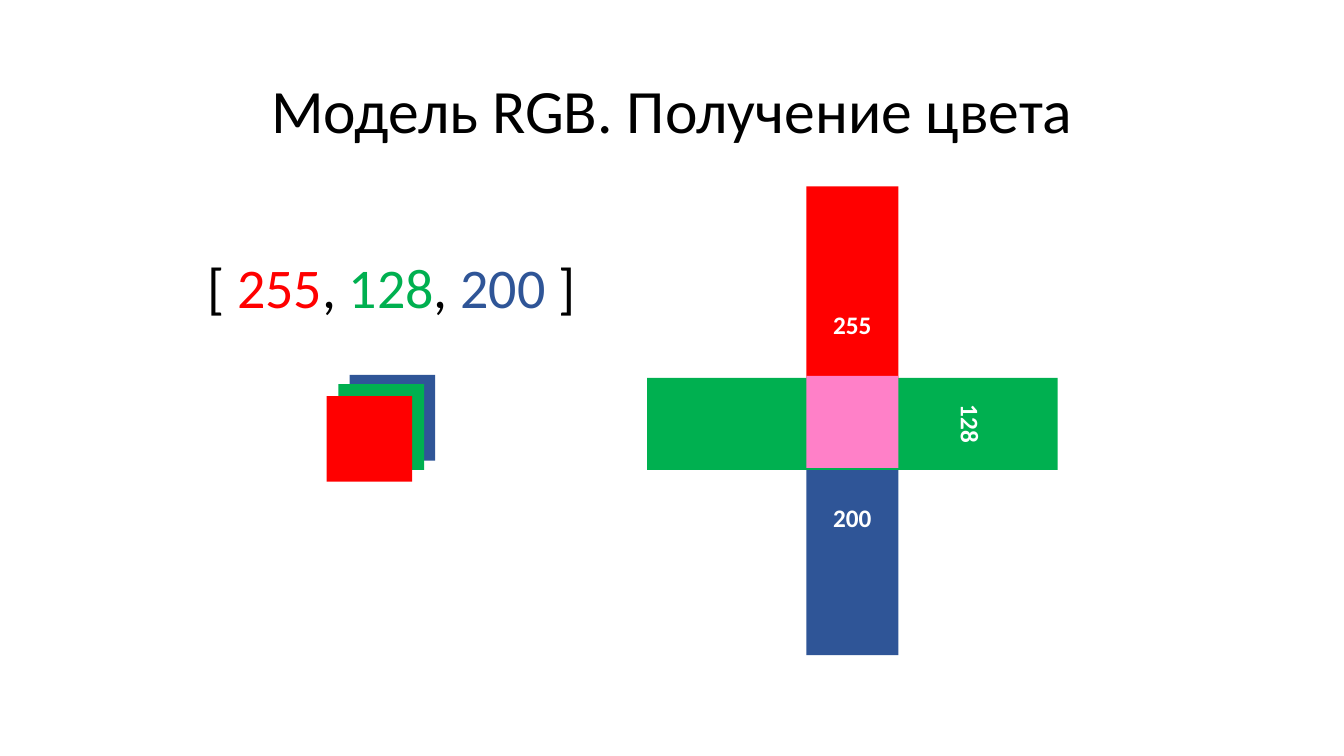
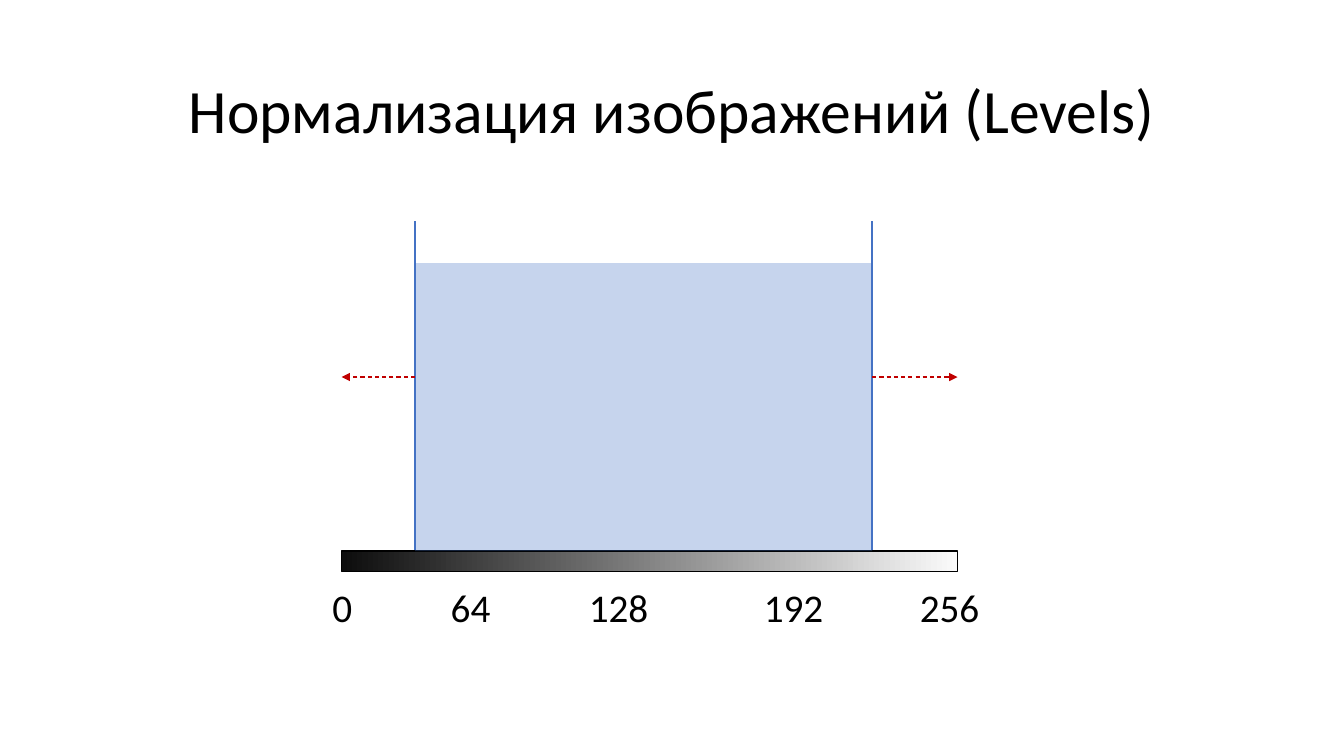
from lxml import etree
from pptx import Presentation
from pptx.dml.color import RGBColor
from pptx.enum.dml import MSO_LINE
from pptx.enum.shapes import MSO_CONNECTOR, MSO_SHAPE
from pptx.enum.text import MSO_ANCHOR as Anchor, PP_ALIGN as Align
from pptx.oxml.ns import qn
from pptx.util import Cm, Pt

BLACK = RGBColor(0x00, 0x00, 0x00)
WHITE = RGBColor(0xFF, 0xFF, 0xFF)
RED = RGBColor(0xFF, 0x00, 0x00)
GREEN = RGBColor(0x00, 0xB0, 0x50)
BLUE = RGBColor(0x2F, 0x55, 0x97)
PINK = RGBColor(0xFF, 0x80, 0xC8)
RANGE_BLUE = RGBColor(0x44, 0x72, 0xC4)
ARROW_RED = RGBColor(0xC0, 0x00, 0x00)
DARKEST = RGBColor(0x0D, 0x0D, 0x0D)
LIGHTEST = RGBColor(0xFA, 0xFA, 0xFA)
FONT = "Calibri"


def write(frame, text, size=18, color=BLACK, bold=False, align=Align.LEFT,
          anchor=Anchor.TOP, spacing=1.0, wrap=True, tabs=()):
    """Fill a frame with a string, or with a list of (string, colour) runs."""
    frame.word_wrap = wrap
    frame.vertical_anchor = anchor
    paragraph = frame.paragraphs[0]
    paragraph.alignment = align
    paragraph.line_spacing = spacing
    if tabs:
        stops = etree.SubElement(paragraph._p.get_or_add_pPr(), qn("a:tabLst"))
        for stop in tabs:
            etree.SubElement(stops, qn("a:tab"), pos=str(Cm(stop)), algn="l")
    for part, tint in [(text, color)] if isinstance(text, str) else text:
        run = paragraph.add_run()
        run.text = part
        run.font.name = FONT
        run.font.size = Pt(size)
        run.font.bold = bold
        run.font.color.rgb = tint


class Deck:
    """Shared style and the slide being built; lengths are centimetres."""

    def __init__(self):
        self.prs = Presentation()
        self.prs.slide_width, self.prs.slide_height = Cm(33.87), Cm(19.05)
        self.shapes = None

    def start(self, title):
        slide = self.prs.slides.add_slide(self.prs.slide_layouts[6])
        self.shapes = slide.shapes
        self.text(title, 2.34, 1.02, 29.21, 3.68, size=44, spacing=0.9,
                  align=Align.CENTER, anchor=Anchor.MIDDLE)

    def text(self, text, x, y, w, h, **style):
        box = self.shapes.add_textbox(Cm(x), Cm(y), Cm(w), Cm(h))
        write(box.text_frame, text, **style)

    def rect(self, x, y, w, h, color, alpha=None, rotation=0):
        shape = self.shapes.add_shape(MSO_SHAPE.RECTANGLE, Cm(x), Cm(y), Cm(w), Cm(h))
        shape.shadow.inherit = False
        shape.rotation = rotation
        shape.fill.solid()
        shape.fill.fore_color.rgb = color
        shape.line.fill.background()
        if alpha is not None:
            tint = shape._element.spPr.find(".//" + qn("a:srgbClr"))
            etree.SubElement(tint, qn("a:alpha"), val=str(alpha * 1000))
        return shape

    def scale(self, x, y, w, h, start, end):
        bar = self.rect(x, y, w, h, start)
        bar.fill.gradient()
        bar.fill.gradient_angle = 0
        for stop, color in zip(bar.fill.gradient_stops, (start, end)):
            stop.color.rgb = color
        bar.line.color.rgb = BLACK
        bar.line.width = Pt(1)

    def line(self, x1, y1, x2, y2, color, width, arrow=False):
        line = self.shapes.add_connector(MSO_CONNECTOR.STRAIGHT,
                                         Cm(x1), Cm(y1), Cm(x2), Cm(y2))
        line.line.color.rgb = color
        line.line.width = Pt(width)
        if arrow:
            line.line.dash_style = MSO_LINE.DASH
            etree.SubElement(line.line._get_or_add_ln(), qn("a:tailEnd"), type="triangle")
        etree.SubElement(line._element.spPr, qn("a:effectLst"))


def rgb_slide(deck):
    deck.start("Модель RGB. Получение цвета")

    # Colour triple and its stacked channels
    deck.text([("[ ", BLACK), ("255", RED), (", ", BLACK), ("128", GREEN),
               (", ", BLACK), ("200", BLUE), (" ]", BLACK)],
              4.98, 6.25, 9.88, 1.96, size=40, wrap=False)
    for x, y, color in [(8.81, 9.45, BLUE), (8.53, 9.68, GREEN), (8.23, 9.98, RED)]:
        deck.rect(x, y, 2.16, 2.16, color)

    # Crossing bars, with the mixed colour where they meet
    left, breadth = 20.32, 2.32
    label = dict(color=WHITE, bold=True, align=Align.CENTER)
    for value, y, color in [("255", 4.7, RED), ("200", 9.58, BLUE)]:
        bar = deck.rect(left, y, breadth, 6.93, color)
        write(bar.text_frame, value, anchor=Anchor.MIDDLE, **label)
    green_bar = deck.rect(left, 5.51, breadth, 10.34, GREEN, rotation=90)
    green_bar.text_frame.margin_top = Cm(1.8)
    write(green_bar.text_frame, "128", **label)
    deck.rect(left, 9.47, breadth, breadth, PINK)


def levels_slide(deck):
    deck.start("Нормализация изображений (Levels)")
    scale_left, scale_right, scale_top = 8.61, 24.13, 13.89
    low, high, arrow_y = 10.46, 21.98, 9.5

    # Range limits
    for limit in (low, high):
        deck.line(limit, scale_top, limit, 5.56, RANGE_BLUE, 1.25)

    # Brightness scale and its values
    deck.text("0\t64\t128\t192\t256", 8.13, 14.71, 17.35, 1.4, size=28,
              spacing=0.9, tabs=(2.98, 6.46, 10.87, 14.8))
    deck.scale(scale_left, scale_top, scale_right - scale_left, 0.51, DARKEST, LIGHTEST)

    # Range in use, stretched to both ends
    deck.rect(low, 6.63, high - low, scale_top - 6.63, RANGE_BLUE, alpha=30)
    for limit, end in [(low, scale_left), (high, scale_right)]:
        deck.line(limit, arrow_y, end, arrow_y, ARROW_RED, 0.75, arrow=True)


def main():
    deck = Deck()
    rgb_slide(deck)
    levels_slide(deck)
    deck.prs.save("out.pptx")


if __name__ == "__main__":
    main()
